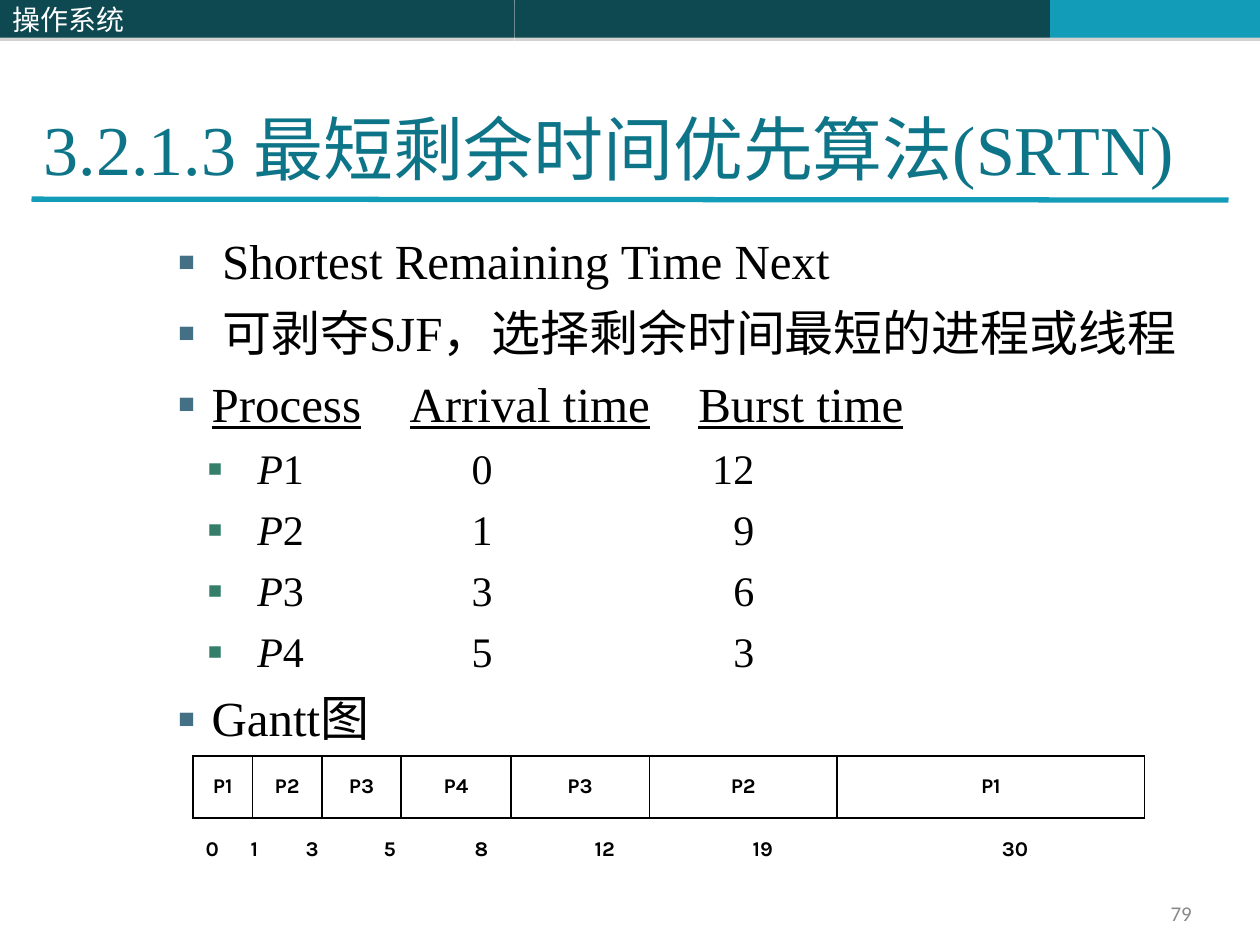
from dataclasses import dataclass

from lxml import etree
from pptx import Presentation
from pptx.dml.color import RGBColor
from pptx.enum.shapes import MSO_CONNECTOR, MSO_SHAPE
from pptx.enum.text import MSO_ANCHOR, PP_ALIGN
from pptx.oxml.ns import qn
from pptx.util import Pt

RECT = MSO_SHAPE.RECTANGLE
STRAIGHT = MSO_CONNECTOR.STRAIGHT
TOP, MIDDLE, BOTTOM = MSO_ANCHOR.TOP, MSO_ANCHOR.MIDDLE, MSO_ANCHOR.BOTTOM
LEFT, CENTER, RIGHT = PP_ALIGN.LEFT, PP_ALIGN.CENTER, PP_ALIGN.RIGHT


@dataclass(frozen=True)
class Theme:
    dark: str = "0E4851"
    accent: str = "139CB7"
    title: str = "0E7589"
    text: str = "000000"
    white: str = "FFFFFF"
    muted: str = "898989"
    shadow: str = "808080"
    bullets: tuple = ("437085", "357E69")
    serif: str = "Times New Roman"
    cjk: str = "Noto Sans CJK SC"
    table: str = "Karla"
    number: str = "Calibri"
    title_size: int = 40
    body_sizes: tuple = (28, 24)
    header_size: int = 16
    small_size: int = 12


T = Theme()

POINTS = [
    (0, 34, [("Shortest Remaining Time Next", "")], []),
    (0, 34, [("可剥夺SJF，选择剩余时间最短的进程或线程", "")], []),
    (0, 27, [("Process", "u"), ("\t", ""), ("Arrival time", "u"), ("\t", ""),
             ("Burst time", "u")], [(141, "l"), (306, "l")]),
]
PROCESSES = [(1, 0, 12), (2, 1, 9), (3, 3, 6), (4, 5, 3)]
GANTT = [("P1", 34), ("P2", 39.6), ("P3", 45.4), ("P4", 62.6),
         ("P3", 79.2), ("P2", 107.3), ("P1", 175.7)]
TIMES = [0, 1, 3, 5, 8, 12, 19, 30]
TIME_STOPS = [25.7, 57.1, 101.7, 153.7, 222.3, 312.6, 455]


def add_run(p, text, size, color, font, style="", bold=False):
    r = p.add_run()
    r.text = text
    f = r.font
    f.size, f.name, f.bold = Pt(size), font, bold
    f.italic, f.underline = "i" in style, "u" in style
    f.color.rgb = RGBColor.from_string(color)
    latin = r._r.get_or_add_rPr().find(qn("a:latin"))
    latin.addnext(latin.makeelement(qn("a:ea"), {"typeface": T.cjk}))


def add_tabs(p, stops):
    tabs = etree.SubElement(p._p.get_or_add_pPr(), qn("a:tabLst"))
    for pos, algn in stops:
        etree.SubElement(tabs, qn("a:tab"), pos=str(Pt(pos)), algn=algn)


def add_bullet(p, margin, indent, color):
    pPr = p._p.get_or_add_pPr()
    pPr.set("marL", str(Pt(margin)))
    pPr.set("indent", str(Pt(indent)))
    clr = etree.SubElement(pPr, qn("a:buClr"))
    etree.SubElement(clr, qn("a:srgbClr"), val=color)
    etree.SubElement(pPr, qn("a:buFont"), typeface=T.cjk)
    etree.SubElement(pPr, qn("a:buChar"), char="▪")


def set_frame(tf, insets=(0, 0, 0, 0), anchor=TOP):
    tf.word_wrap = True
    tf.vertical_anchor = anchor
    tf.margin_left, tf.margin_top, tf.margin_right, tf.margin_bottom = map(Pt, insets)


def add_text_box(s, box, insets=(0, 0, 0, 0), anchor=TOP):
    tf = s.shapes.add_textbox(*map(Pt, box)).text_frame
    set_frame(tf, insets, anchor)
    return tf


def add_bar(s, box, color):
    sp = s.shapes.add_shape(RECT, *map(Pt, box))
    sp.fill.solid()
    sp.fill.fore_color.rgb = RGBColor.from_string(color)
    sp.line.fill.background()
    sp.shadow.inherit = False
    shadow = etree.SubElement(sp._element.spPr.find(qn("a:effectLst")), qn("a:outerShdw"),
                              blurRad="0", dist=str(Pt(1.8)), dir="5400000")
    clr = etree.SubElement(shadow, qn("a:srgbClr"), val=T.shadow)
    etree.SubElement(clr, qn("a:alpha"), val="35000")
    return sp


def add_header(s, x, y, w, h):
    left, mid = 294, 306
    add_bar(s, (x + left, y, mid, h), T.dark)
    add_bar(s, (x + left + mid, y, w - left - mid, h), T.accent)
    tf = add_bar(s, (x, y, left, h), T.dark).text_frame
    set_frame(tf, (7.2, 3.6, 7.2, 3.6), MIDDLE)
    p = tf.paragraphs[0]
    p.alignment = LEFT
    add_run(p, "操作系统", T.header_size, T.white, T.cjk)


def add_title(s, x, y, w, h):
    line = s.shapes.add_connector(STRAIGHT, Pt(18), Pt(y + h + 5.8), Pt(702), Pt(y + h + 6.3))
    line.line.color.rgb = RGBColor.from_string(T.accent)
    line.line.width = Pt(3)
    etree.SubElement(line._element.spPr, qn("a:effectLst"))
    p = add_text_box(s, (x, y, w, h), anchor=BOTTOM).paragraphs[0]
    add_run(p, "3.2.1.3 最短剩余时间优先算法(SRTN)", T.title_size, T.title, T.serif)


def add_body(s, x, y, w, h):
    tf = add_text_box(s, (x, y, w, h))
    rows = [(1, 54, [("P", "i"), (f"{n}\t{arrival}\t{burst}", "")],
             [(176.5, "l"), (338, "r")]) for n, arrival, burst in PROCESSES]
    gantt = (0, 27, [("Gantt图", "")], [])
    for i, (level, margin, runs, stops) in enumerate([*POINTS, *rows, gantt]):
        p = tf.paragraphs[0] if i == 0 else tf.add_paragraph()
        p.level = level
        if i:
            p.space_before = Pt(7 - level)
        add_bullet(p, margin, 18 * level - margin, T.bullets[level])
        if stops:
            add_tabs(p, stops)
        for text, style in runs:
            add_run(p, text, T.body_sizes[level], T.text, T.serif, style)


def add_border(cell, sides):
    tcPr = cell._tc.get_or_add_tcPr()
    for i, side in enumerate(("lnL", "lnR", "lnT", "lnB")):
        ln = tcPr.makeelement(qn(f"a:{side}"), {"w": str(Pt(1.08))})
        if side in sides:
            fill = etree.SubElement(ln, qn("a:solidFill"))
            etree.SubElement(fill, qn("a:srgbClr"), val=T.text)
        else:
            etree.SubElement(ln, qn("a:noFill"))
        tcPr.insert(i, ln)


def add_gantt(s, x, y, w, h):
    table = s.shapes.add_table(2, len(GANTT), Pt(x), Pt(y), Pt(w), Pt(h)).table
    table.first_row = table.horz_banding = False
    table.rows[0].height, table.rows[1].height = Pt(35.3), Pt(h - 35.3)
    for i, (name, width) in enumerate(GANTT):
        table.columns[i].width = Pt(width)
        cell = table.cell(0, i)
        p = cell.text_frame.paragraphs[0]
        p.alignment = CENTER
        add_run(p, name, T.small_size, T.text, T.table, bold=True)
        add_border(cell, ("lnL", "lnR", "lnT", "lnB"))
        add_border(table.cell(1, i), ("lnT",))
    axis = table.cell(1, 0)
    axis.merge(table.cell(1, len(GANTT) - 1))
    p = axis.text_frame.paragraphs[0]
    p.line_spacing = 0.8
    add_tabs(p, [(pos, "l") for pos in TIME_STOPS])
    add_run(p, "\t".join(map(str, TIMES)), T.small_size, T.text, T.table, bold=True)
    for cell in table.iter_cells():
        cell.fill.background()
        cell.vertical_anchor = MIDDLE


def add_page_number(s, x, y, w, h):
    p = add_text_box(s, (x, y, w, h), (7.2, 3.6, 27, 3.6)).paragraphs[0]
    p.alignment = RIGHT
    add_run(p, "79", T.small_size, T.muted, T.number)


def main():
    prs = Presentation()
    prs.slide_width, prs.slide_height = Pt(720), Pt(540)
    s = prs.slides.add_slide(prs.slide_layouts[6])
    add_header(s, 0, 0, 720, 21.6)
    add_title(s, 25, 60, 707, 48)
    add_body(s, 93, 132, 627, 296)
    add_gantt(s, 110.3, 432, 543.8, 72.4)
    add_page_number(s, 540, 511, 168, 19.4)
    prs.save("out.pptx")


if __name__ == "__main__":
    main()
